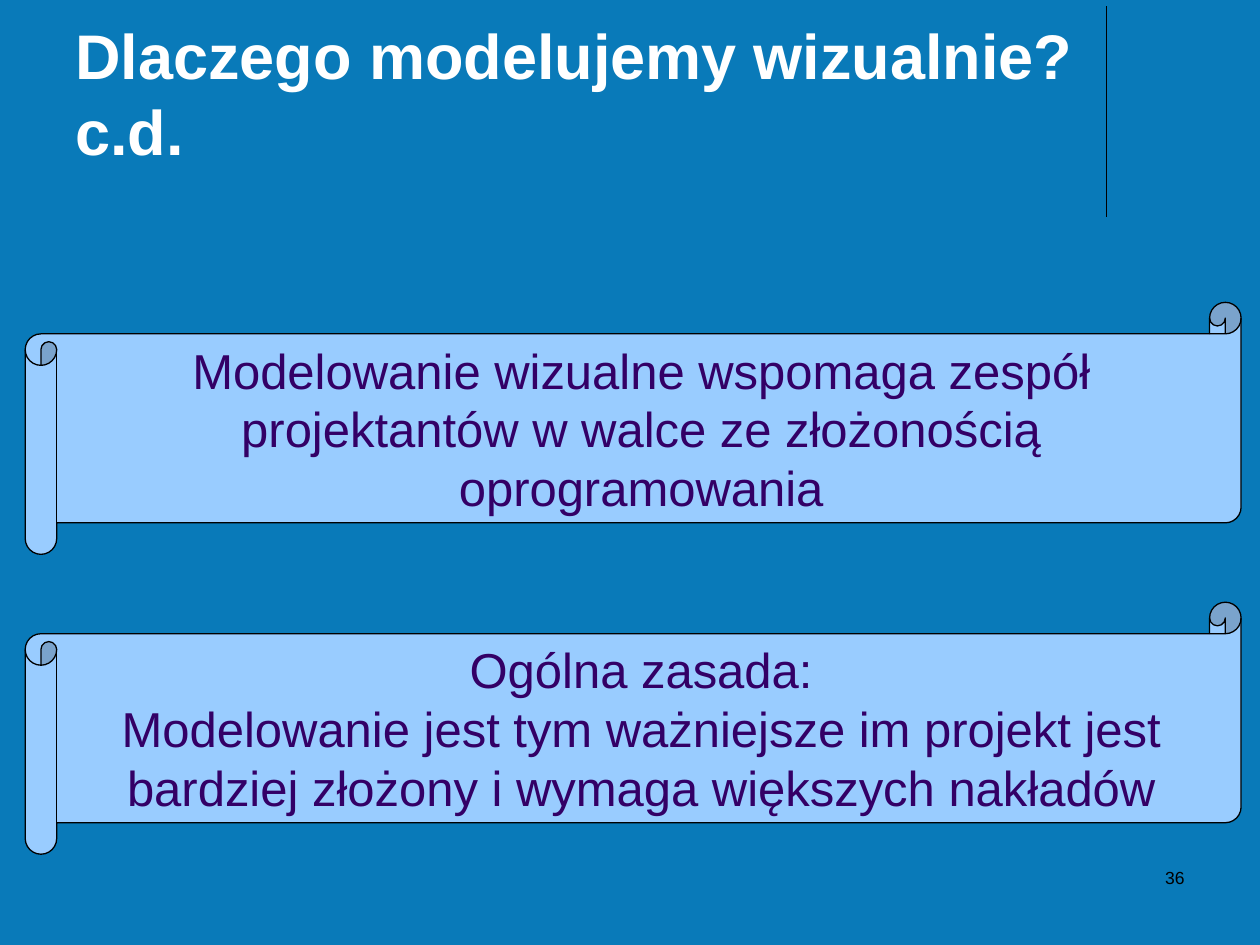
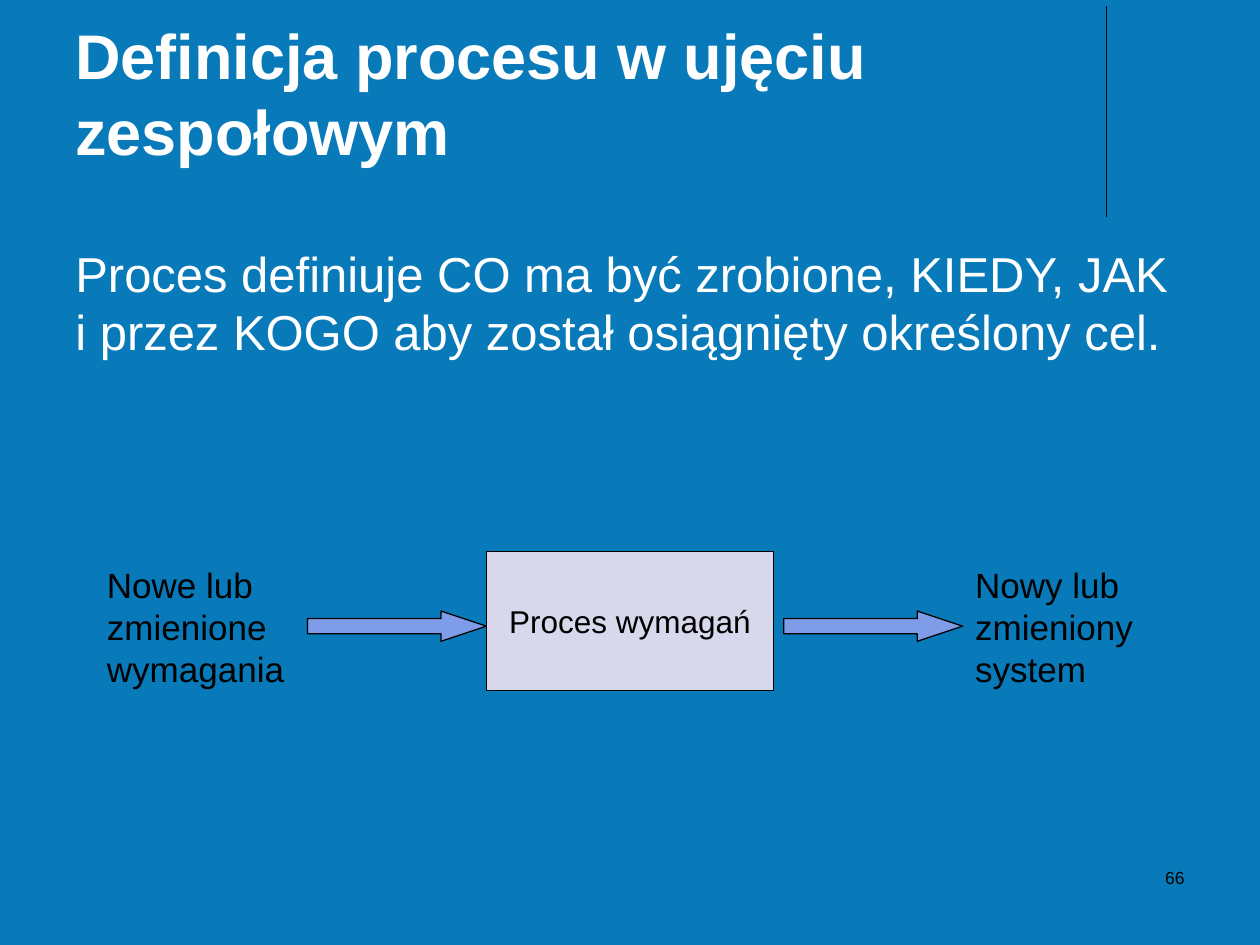
from dataclasses import dataclass
from lxml.etree import SubElement
from pptx import Presentation
from pptx.dml.color import RGBColor
from pptx.enum.shapes import MSO_CONNECTOR as Connector, MSO_SHAPE as Shape
from pptx.enum.text import MSO_ANCHOR as Anchor, PP_ALIGN as Align
from pptx.oxml.ns import qn
from pptx.util import Inches, Pt

# Content
SCROLLS = {
    "number": 36,
    "title": "Dlaczego modelujemy wizualnie? c.d.",
    "theses": [
        ["Modelowanie wizualne wspomaga zespół projektantów w walce ze złożonością oprogramowania"],
        ["Ogólna zasada:",
         "Modelowanie jest tym ważniejsze im projekt jest bardziej złożony i wymaga większych nakładów"],
    ],
}
PROCESS = {
    "number": 66,
    "title": "Definicja procesu w ujęciu zespołowym",
    "definition": ["Proces definiuje CO ma być zrobione, KIEDY, JAK i przez KOGO "
                   "aby został osiągnięty określony cel."],
    "input": ["Nowe lub zmienione wymagania"],
    "step": ["Proces wymagań"],
    "output": ["Nowy lub zmieniony", "system"],
}


@dataclass(frozen=True)
class Theme:
    font: str = "Arial"
    background: str = "097AB9"
    light: str = "FFFFFF"
    dark: str = "000000"
    scroll: str = "99CCFF"
    scroll_text: str = "330066"
    step: str = "D8D8EC"
    arrow: str = "7E9CE8"
    title_size: int = 36
    body_size: int = 28
    label_size: int = 20
    step_size: int = 18
    number_size: int = 10
    line: float = 0.75


THEME = Theme()


def rgb(value):
    return RGBColor.from_string(value)


def write(part, lines, size, color, bold=False, anchor=Anchor.TOP, wrap=True, **paragraph_format):
    frame = part.text_frame
    frame.word_wrap = wrap
    frame.vertical_anchor = anchor
    frame.text = "\n".join(lines)
    for paragraph in frame.paragraphs:
        for name, value in ({"alignment": Align.LEFT} | paragraph_format).items():
            setattr(paragraph, name, value)
        for name, value in {"name": THEME.font, "size": Pt(size), "bold": bold}.items():
            setattr(paragraph.font, name, value)
        paragraph.font.color.rgb = rgb(color)


def add_text(slide, box, lines, size, color, **text_format):
    write(slide.shapes.add_textbox(*map(Inches, box)), lines, size, color, **text_format)


def add_figure(slide, kind, box, fill, line, adjustments=()):
    figure = slide.shapes.add_shape(kind, *map(Inches, box))
    figure.shadow.inherit = False
    figure.fill.solid()
    figure.fill.fore_color.rgb = rgb(fill)
    figure.line.color.rgb = rgb(THEME.dark)
    figure.line.width = Pt(line)
    for index, value in enumerate(adjustments):
        figure.adjustments[index] = value
    return figure


def add_base(prs, content):
    """Blank slide with the shared rule, title and slide number."""
    slide = prs.slides.add_slide(prs.slide_layouts[6])
    rule = slide.shapes.add_connector(
        Connector.STRAIGHT, *map(Inches, (8.78, 0.05, 8.78, 1.72)))
    rule.line.color.rgb = rgb(THEME.dark)
    rule.line.width = Pt(THEME.line)
    SubElement(rule.element.spPr, qn("a:effectLst"))
    add_text(slide, (0.5, 0.13, 8.25, 1.25), [content["title"]], THEME.title_size,
             THEME.light, bold=True, anchor=Anchor.BOTTOM)
    add_text(slide, (7.17, 6.83, 2.33, 0.5), [str(content["number"])], THEME.number_size,
             THEME.dark, alignment=Align.RIGHT)
    return slide


def build_scrolls(prs, content):
    slide = add_base(prs, content)
    first_top, pitch = 2.4, 2.38
    for row, thesis in enumerate(content["theses"]):
        scroll = add_figure(slide, Shape.HORIZONTAL_SCROLL,
                            (0.2, first_top + row * pitch, 9.65, 2),
                            THEME.scroll, 0, [0.125])
        write(scroll, thesis, THEME.body_size, THEME.scroll_text,
              anchor=Anchor.MIDDLE, alignment=Align.CENTER)


def build_process(prs, content):
    slide = add_base(prs, content)
    add_text(slide, (0.5, 1.88, 9, 1.63), content["definition"], THEME.body_size,
             THEME.light, space_before=Pt(7))

    # Process step, centred on the slide
    step_width, arrow_width, gap = 2.28, 1.42, 0.08
    step_left = (10 - step_width) / 2
    step = add_figure(slide, Shape.FLOWCHART_PROCESS, (step_left, 4.38, step_width, 1.1),
                      THEME.step, THEME.line)
    write(step, content["step"], THEME.step_size, THEME.dark, wrap=False,
          anchor=Anchor.MIDDLE, alignment=Align.CENTER)

    # Arrows into and out of the step
    out_left = step_left + step_width + gap
    for left in (step_left - arrow_width, out_left):
        add_figure(slide, Shape.RIGHT_ARROW, (left, 4.85, arrow_width, 0.24),
                   THEME.arrow, THEME.line, [0.5, 1.5])

    # Input and output labels
    for key, left, width in (("input", 0.75, 1.77), ("output", out_left + arrow_width, 1.85)):
        add_text(slide, (left, 4.42, width, 1.1), content[key], THEME.label_size, THEME.dark)


def main():
    prs = Presentation()
    prs.slide_width, prs.slide_height = Inches(10), Inches(7.5)
    backdrop = prs.slide_master.background.fill
    backdrop.solid()
    backdrop.fore_color.rgb = rgb(THEME.background)
    build_scrolls(prs, SCROLLS)
    build_process(prs, PROCESS)
    prs.save("out.pptx")


if __name__ == "__main__":
    main()
